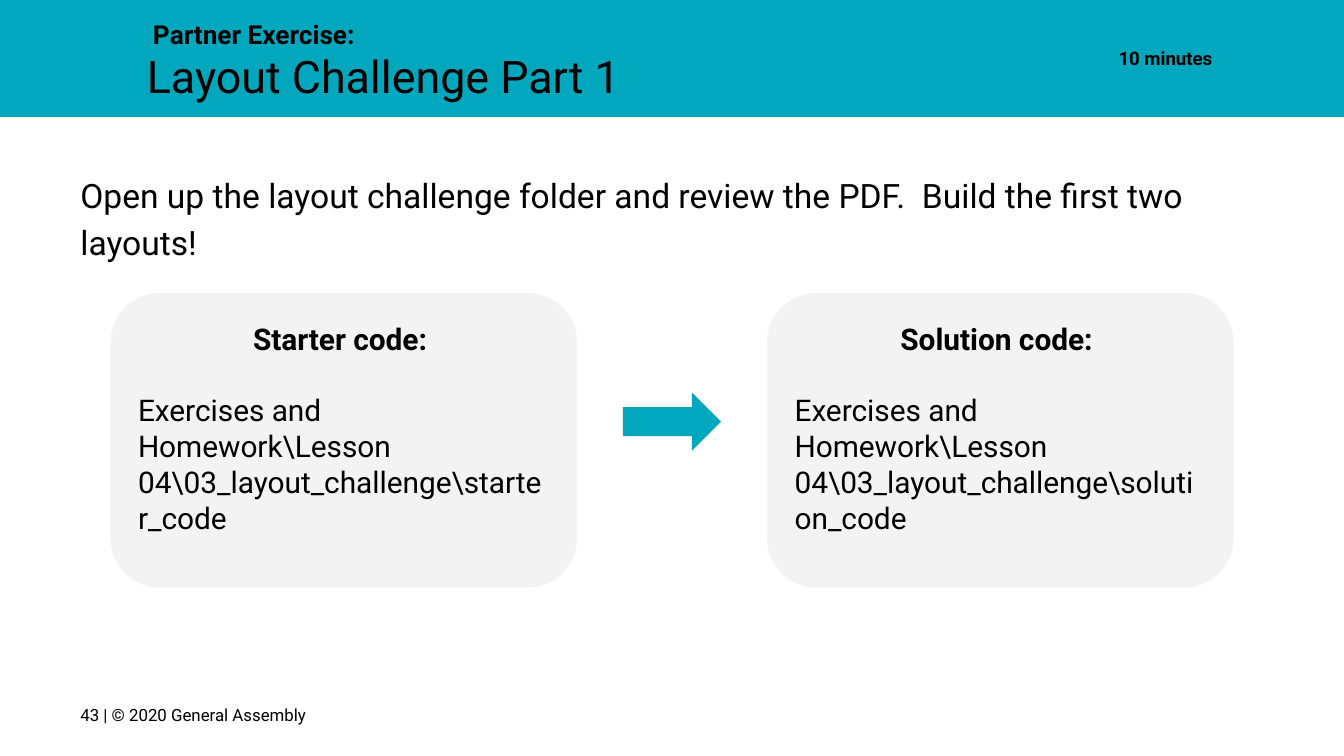
import pptx
import pptx.util
import pptx.dml.color
import pptx.enum.shapes
import pptx.enum.text

Pt = pptx.util.Pt
SHAPE = pptx.enum.shapes.MSO_SHAPE
ALIGN = pptx.enum.text.PP_ALIGN
ANCHOR = pptx.enum.text.MSO_ANCHOR

TEAL = pptx.dml.color.RGBColor(0x00, 0xA7, 0xBD)
GREY = pptx.dml.color.RGBColor(0xF3, 0xF3, 0xF3)
BLACK = pptx.dml.color.RGBColor(0x00, 0x00, 0x00)


class Deck:
    """Holds the style and the current slide."""
    font = "Roboto"
    inset = 7.2

    def __init__(self, width, height):
        self.prs = pptx.Presentation()
        self.prs.slide_width, self.prs.slide_height = Pt(width), Pt(height)
        self.s = self.prs.slides.add_slide(self.prs.slide_layouts[6])

    def frame(self, sp, anchor=ANCHOR.TOP):
        tf = sp.text_frame
        tf.word_wrap = True
        tf.vertical_anchor = anchor
        tf.margin_left = tf.margin_right = Pt(self.inset)
        tf.margin_top = tf.margin_bottom = Pt(self.inset)
        return tf

    def paragraph(self, p, text, size, bold=False, align=ALIGN.LEFT, spacing=None, after=0):
        p.text = text
        p.alignment = align
        p.line_spacing = spacing
        p.space_after = Pt(after)
        p.font.name, p.font.size, p.font.bold = self.font, Pt(size), bold
        p.font.color.rgb = BLACK

    def text(self, box, text, size, anchor=ANCHOR.TOP, **style):
        sp = self.s.shapes.add_textbox(*map(Pt, box))
        self.paragraph(self.frame(sp, anchor).paragraphs[0], text, size, **style)

    def shape(self, kind, box, fill):
        sp = self.s.shapes.add_shape(kind, *map(Pt, box))
        sp.shadow.inherit = False
        sp.fill.solid()
        sp.fill.fore_color.rgb = fill
        sp.line.fill.background()
        return sp

    def card(self, box, heading, body):
        sp = self.shape(SHAPE.ROUNDED_RECTANGLE, box, GREY)
        tf = self.frame(sp)
        self.paragraph(tf.paragraphs[0], heading, 16, bold=True, align=ALIGN.CENTER, after=19)
        self.paragraph(tf.add_paragraph(), body, 16)


def main():
    deck = Deck(720, 405)

    # Header band
    deck.shape(SHAPE.RECTANGLE, (0, -0.6, 720, 63.3), TEAL)
    deck.text((74.9, 2.9, 175, 36), "Partner Exercise:", 14, bold=True)
    deck.text((71.6, 18.8, 394.6, 36), "Layout Challenge Part 1", 24)
    deck.text((551.5, 16.6, 105, 26), "10 minutes", 10, bold=True,
              align=ALIGN.RIGHT, spacing=1.15)

    # Instructions
    deck.text((36, 83.5, 633.6, 85),
              "Open up the layout challenge folder and review the PDF.  Build the first two layouts!",
              18, spacing=1.15)

    # Starter and solution cards, with the arrow between them
    folder = "Exercises and Homework\\Lesson 04\\03_layout_challenge\\"
    for left, name in ((59.2, "starter"), (410.9, "solution")):
        deck.card((left, 157, 250, 157.7), f"{name.title()} code: ", f"{folder}{name}_code")
    deck.shape(SHAPE.RIGHT_ARROW, (333.7, 210.3, 52.6, 31.2), TEAL)

    # Footer
    deck.text((36, 367.2, 186.5, 31), "43 | © 2020 General Assembly", 9, anchor=ANCHOR.MIDDLE)

    deck.prs.save("out.pptx")


if __name__ == "__main__":
    main()
